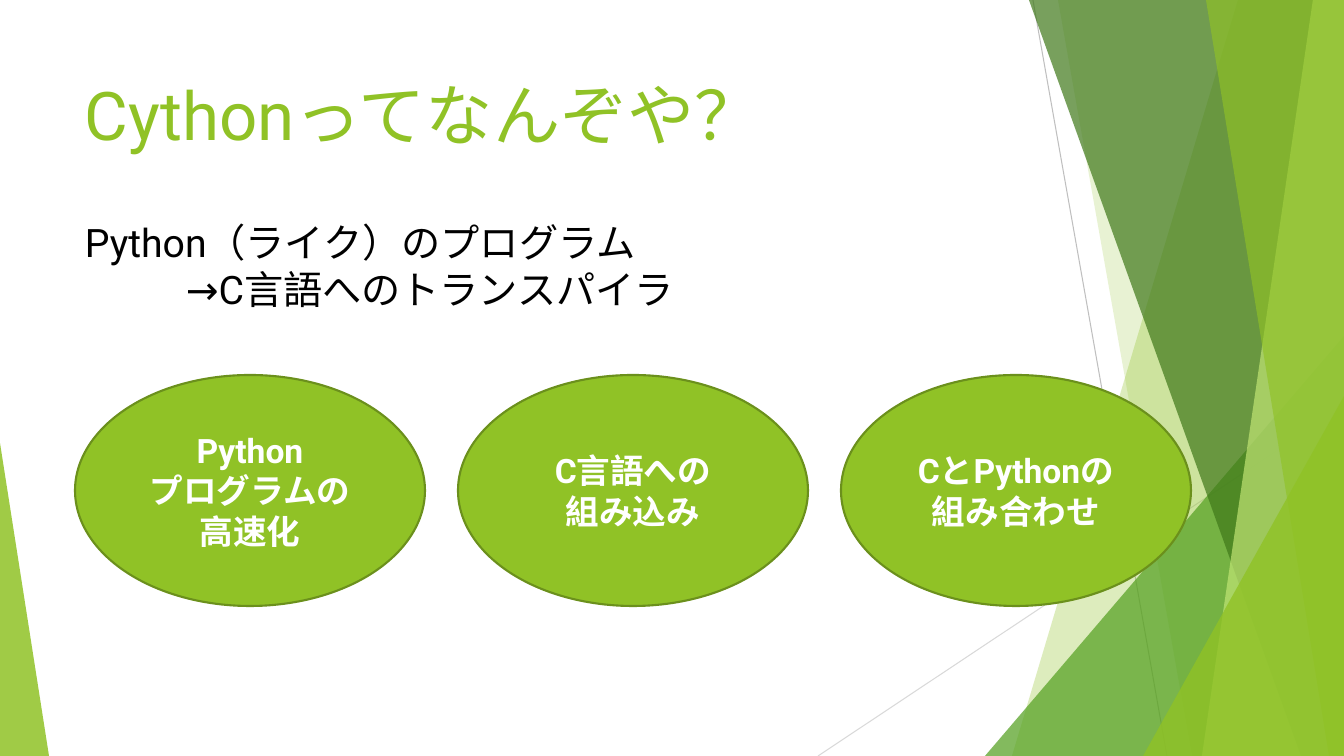
from dataclasses import dataclass

import pptx
import pptx.dml.color
import pptx.enum.shapes
import pptx.enum.text
import pptx.oxml
import pptx.oxml.ns
import pptx.util

SLIDE_WIDTH, SLIDE_HEIGHT = 1344, 756
EMU_PER_PX = pptx.util.Inches(7.5) / SLIDE_HEIGHT


@dataclass(frozen=True)
class Theme:
    font: str = "Roboto"
    lime: str = "90C226"
    green: str = "54A021"
    dark_green: str = "3F7819"
    pale_lime: str = "C0E474"
    outline: str = "6B901C"
    grey: str = "BFBFBF"
    light_grey: str = "D9D9D9"
    black: str = "000000"
    white: str = "FFFFFF"
    title_size: int = 48
    summary_size: int = 28
    purpose_size: int = 24
    hairline: float = 0.75
    oval_line: float = 1.5


THEME = Theme()


@dataclass(frozen=True)
class Ray:
    start: tuple[int, int]
    end: tuple[int, int]
    color: str


@dataclass(frozen=True)
class Ribbon:
    """Band from a slanted left edge to the right side of the slide."""
    top_x: int
    bottom_x: int
    color: str
    opacity: int


@dataclass(frozen=True)
class Corner:
    """Right triangle standing on the bottom edge, its apex at one side."""
    left: int
    top: int
    width: int
    apex: int
    color: str
    opacity: int


@dataclass(frozen=True)
class TextStyle:
    size: int
    color: str
    bold: bool = False
    align: pptx.enum.text.PP_ALIGN = pptx.enum.text.PP_ALIGN.LEFT


RAYS = [
    Ray((1033, 0), (1167, SLIDE_HEIGHT), THEME.grey),
    Ray((SLIDE_WIDTH, 406), (818, SLIDE_HEIGHT), THEME.light_grey),
]
FACETS = [
    Ribbon(1238, 1012, THEME.lime, 30),
    Ribbon(1058, 1192, THEME.lime, 20),
    Corner(985, 336, 359, 1, THEME.green, 72),
    Ribbon(1029, 1301, THEME.dark_green, 70),
    Ribbon(1313, 1202, THEME.pale_lime, 70),
    Ribbon(1206, 1329, THEME.lime, 65),
    Corner(1143, 396, 201, 1, THEME.lime, 80),
    Corner(0, 443, 49, 0, THEME.lime, 85),
]
PURPOSES = [
    ["Python", "プログラムの高速化"],
    ["C言語への", "組み込み"],
    ["CとPythonの", "組み合わせ"],
]
CONTENT_LEFT = 75
OVAL_TOP, OVAL_WIDTH, OVAL_HEIGHT, OVAL_PITCH = 375, 350, 231, 383
SUMMARY_INDENT = 101


def px(length: int) -> pptx.util.Emu:
    return pptx.util.Emu(round(length * EMU_PER_PX))


def rgb(color: str) -> pptx.dml.color.RGBColor:
    return pptx.dml.color.RGBColor.from_string(color)


def fill_facet(shape, color: str, opacity: int) -> None:
    shape.shadow.inherit = False
    shape.line.fill.background()
    shape.fill.solid()
    shape.fill.fore_color.rgb = rgb(color)
    srgb = shape.fill._xPr.find(".//" + pptx.oxml.ns.qn("a:srgbClr"))
    alpha = pptx.oxml.parse_xml(f'<a:alpha {pptx.oxml.ns.nsdecls("a")} val="{opacity * 1000}"/>')
    srgb.append(alpha)


def draw_ray(slide, ray: Ray) -> None:
    line = slide.shapes.add_connector(
        pptx.enum.shapes.MSO_CONNECTOR.STRAIGHT, *map(px, ray.start + ray.end))
    line.line.color.rgb = rgb(ray.color)
    line.line.width = pptx.util.Pt(THEME.hairline)
    no_effects = pptx.oxml.parse_xml(f'<a:effectLst {pptx.oxml.ns.nsdecls("a")}/>')
    line._element.spPr.append(no_effects)


def draw_ribbon(slide, ribbon: Ribbon) -> None:
    outline = slide.shapes.build_freeform(ribbon.top_x, 0, scale=EMU_PER_PX)
    outline.add_line_segments([
        (SLIDE_WIDTH, 0), (SLIDE_WIDTH, SLIDE_HEIGHT), (ribbon.bottom_x, SLIDE_HEIGHT)])
    fill_facet(outline.convert_to_shape(), ribbon.color, ribbon.opacity)


def draw_corner(slide, corner: Corner) -> None:
    triangle = slide.shapes.add_shape(
        pptx.enum.shapes.MSO_SHAPE.ISOSCELES_TRIANGLE, px(corner.left), px(corner.top),
        px(corner.width), px(SLIDE_HEIGHT - corner.top))
    triangle.adjustments[0] = corner.apex
    fill_facet(triangle, corner.color, corner.opacity)


def write(frame, lines: list[str], style: TextStyle) -> None:
    frame.text = "\n".join(lines)
    for paragraph in frame.paragraphs:
        paragraph.alignment = style.align
        paragraph.font.name = THEME.font
        paragraph.font.size = pptx.util.Pt(style.size)
        paragraph.font.bold = style.bold
        paragraph.font.color.rgb = rgb(style.color)


def draw_purpose(slide, left: int, lines: list[str]) -> None:
    oval = slide.shapes.add_shape(
        pptx.enum.shapes.MSO_SHAPE.OVAL, px(left), px(OVAL_TOP), px(OVAL_WIDTH), px(OVAL_HEIGHT))
    oval.shadow.inherit = False
    oval.fill.solid()
    oval.fill.fore_color.rgb = rgb(THEME.lime)
    oval.line.color.rgb = rgb(THEME.outline)
    oval.line.width = pptx.util.Pt(THEME.oval_line)
    oval.text_frame.word_wrap = True
    oval.text_frame.vertical_anchor = pptx.enum.text.MSO_ANCHOR.MIDDLE
    write(oval.text_frame, lines, TextStyle(
        THEME.purpose_size, THEME.white, True, pptx.enum.text.PP_ALIGN.CENTER))


def main() -> None:
    deck = pptx.Presentation()
    deck.slide_width, deck.slide_height = px(SLIDE_WIDTH), px(SLIDE_HEIGHT)
    slide = deck.slides.add_slide(deck.slide_layouts[6])

    # Faceted backdrop
    for ray in RAYS:
        draw_ray(slide, ray)
    for facet in FACETS:
        if isinstance(facet, Ribbon):
            draw_ribbon(slide, facet)
        else:
            draw_corner(slide, facet)

    # Title
    title = slide.shapes.add_textbox(px(CONTENT_LEFT), px(68), px(947), px(145)).text_frame
    title.word_wrap = True
    write(title, ["Cythonってなんぞや？"], TextStyle(THEME.title_size, THEME.lime))

    # Summary, second line indented
    summary = slide.shapes.add_textbox(px(CONTENT_LEFT), px(213), px(621), px(105)).text_frame
    summary.word_wrap = False
    summary.auto_size = pptx.enum.text.MSO_AUTO_SIZE.SHAPE_TO_FIT_TEXT
    write(summary, ["Python（ライク）のプログラム", "→C言語へのトランスパイラ"],
          TextStyle(THEME.summary_size, THEME.black))
    summary.paragraphs[1]._p.get_or_add_pPr().set("marL", str(px(SUMMARY_INDENT)))

    # Three purposes
    for index, lines in enumerate(PURPOSES):
        draw_purpose(slide, CONTENT_LEFT + index * OVAL_PITCH, lines)

    deck.save("out.pptx")


if __name__ == "__main__":
    main()
